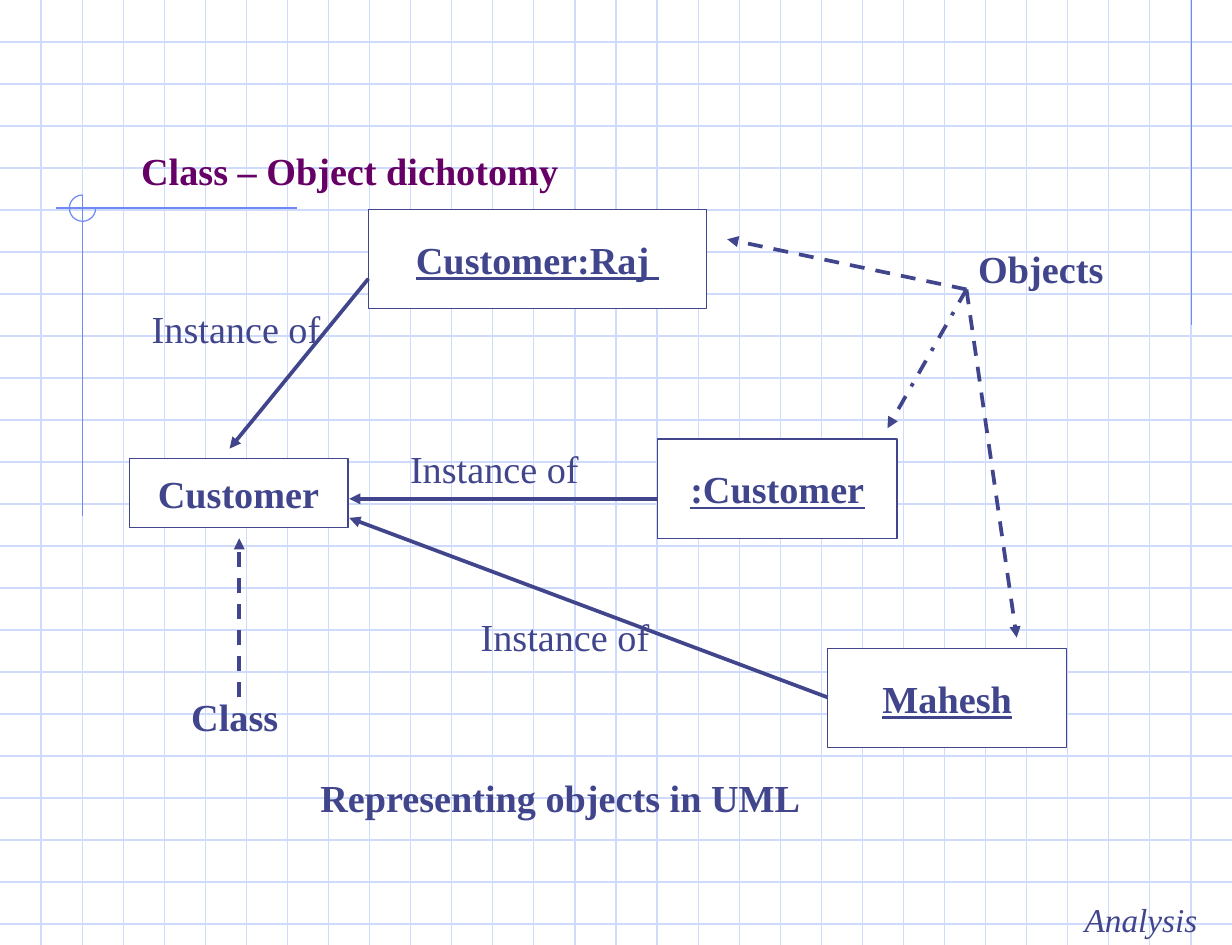
import pptx
import pptx.util
import pptx.dml.color
import pptx.enum.dml
import pptx.enum.shapes
import pptx.enum.text
import pptx.oxml
import pptx.oxml.ns

Inches = pptx.util.Inches
Pt = pptx.util.Pt
RGBColor = pptx.dml.color.RGBColor
MSO_LINE = pptx.enum.dml.MSO_LINE
MSO_SHAPE = pptx.enum.shapes.MSO_SHAPE
MSO_ANCHOR = pptx.enum.text.MSO_ANCHOR
MSO_AUTO_SIZE = pptx.enum.text.MSO_AUTO_SIZE
PP_ALIGN = pptx.enum.text.PP_ALIGN
qn = pptx.oxml.ns.qn
nsdecls = pptx.oxml.ns.nsdecls

WHITE = RGBColor(0xFF, 0xFF, 0xFF)
GRID = RGBColor(0xCF, 0xDB, 0xFD)
ACCENT = RGBColor(0x6F, 0x89, 0xF7)
INK = RGBColor(0x40, 0x45, 0x8C)
PURPLE = RGBColor(0x66, 0x00, 0x66)

WIDTH, HEIGHT = 10.3, 7.9

prs = pptx.Presentation()
prs.slide_width = Inches(WIDTH)
prs.slide_height = Inches(HEIGHT)
s = prs.slides.add_slide(prs.slide_layouts[5])


def add_line(x1, y1, x2, y2, color, width=0.75, dash=None, arrow=False):
    c = s.shapes.add_connector(pptx.enum.shapes.MSO_CONNECTOR.STRAIGHT,
                               Inches(x1), Inches(y1), Inches(x2), Inches(y2))
    c.line.color.rgb = color
    c.line.width = Pt(width)
    if dash:
        c.line.dash_style = dash
    props = c.element.spPr
    if arrow:
        props.find(qn("a:ln")).append(
            pptx.oxml.parse_xml(f'<a:tailEnd {nsdecls("a")} type="triangle"/>'))
    props.append(pptx.oxml.parse_xml(f'<a:effectLst {nsdecls("a")}/>'))


def write(sp, text, frame, align, color=INK, **style):
    tf = sp.text_frame
    for name, value in frame.items():
        setattr(tf, name, value)
    p = tf.paragraphs[0]
    p.alignment = align
    r = p.add_run()
    r.text = text
    font = {"name": "Times New Roman", "size": Pt(23), "bold": False} | style
    for name, value in font.items():
        setattr(r.font, name, value)
    r.font.color.rgb = color


row_gap = HEIGHT / 22.5
for row in range(1, 23):
    add_line(0, row * row_gap, WIDTH, row * row_gap, GRID)
column_gap = WIDTH / 30
for column in range(1, 30):
    add_line(column * column_gap, 0, column * column_gap, HEIGHT, GRID)

add_line(9.96, 0, 9.96, 2.72, ACCENT)
add_line(2.48, 1.74, 0.47, 1.74, ACCENT)
add_line(0.69, 1.63, 0.69, 4.31, ACCENT)
arc = s.shapes.add_shape(MSO_SHAPE.ARC, Inches(0.58), Inches(1.63), Inches(0.22), Inches(0.22))
arc.shadow.inherit = False
arc.adjustments[0] = 0
arc.adjustments[1] = 162
arc.fill.background()
arc.line.color.rgb = ACCENT
arc.line.width = Pt(0.75)

label_frame = {"word_wrap": True, "auto_size": MSO_AUTO_SIZE.SHAPE_TO_FIT_TEXT,
               "vertical_anchor": MSO_ANCHOR.TOP}
box_frame = {"word_wrap": False, "vertical_anchor": MSO_ANCHOR.MIDDLE}

title = s.shapes.title
title.element.getparent().append(title.element)
for name, value in {"left": 1.08, "top": 1.18, "width": 4.08, "height": 0.49}.items():
    setattr(title, name, Inches(value))
write(title, "Class – Object dichotomy", label_frame, PP_ALIGN.LEFT, PURPLE, bold=True)

boxes = [
    ("Customer:Raj ", 3.08, 1.75, 2.83, 0.83, True),
    (":Customer", 5.5, 3.67, 2, 0.83, True),
    ("Customer", 1.08, 3.83, 1.83, 0.58, False),
    ("Mahesh", 6.92, 5.42, 2, 0.83, True),
]
for text, x, y, w, h, underline in boxes:
    box = s.shapes.add_shape(MSO_SHAPE.RECTANGLE, Inches(x), Inches(y), Inches(w), Inches(h))
    box.shadow.inherit = False
    box.fill.solid()
    box.fill.fore_color.rgb = WHITE
    box.line.color.rgb = INK
    box.line.width = Pt(0.75)
    write(box, text, box_frame, PP_ALIGN.CENTER, bold=True, underline=underline)

arrows = [
    (3.08, 2.33, 1.92, 3.75, None),
    (5.5, 4.17, 2.92, 4.17, None),
    (6.92, 5.83, 2.92, 4.33, None),
    (8.08, 2.42, 6.08, 2, MSO_LINE.DASH),
    (8.08, 2.42, 7.42, 3.58, MSO_LINE.DASH_DOT),
    (8.08, 2.42, 8.5, 5.33, MSO_LINE.DASH),
    (2, 5.83, 2, 4.5, MSO_LINE.DASH),
]
for x1, y1, x2, y2, dash in arrows:
    add_line(x1, y1, x2, y2, INK, 2.25, dash, arrow=True)

labels = [
    ("Objects", 8.08, 2, 1.58, 0.49, {"bold": True}),
    ("Instance of", 1.17, 2.5, 1.83, 0.49, {}),
    ("Instance of", 3.33, 3.67, 1.83, 0.49, {}),
    ("Instance of", 3.92, 5.08, 1.83, 0.49, {}),
    ("Class", 1.5, 5.75, 1.08, 0.49, {"bold": True}),
    ("Representing objects in UML", 2.58, 6.42, 4.5, 0.49, {"bold": True}),
    ("Analysis", 8.97, 7.47, 1.33, 0.44, {"size": Pt(20), "italic": True}),
]
for text, x, y, w, h, style in labels:
    label = s.shapes.add_textbox(Inches(x), Inches(y), Inches(w), Inches(h))
    write(label, text, label_frame, PP_ALIGN.LEFT, **style)

prs.save("out.pptx")
